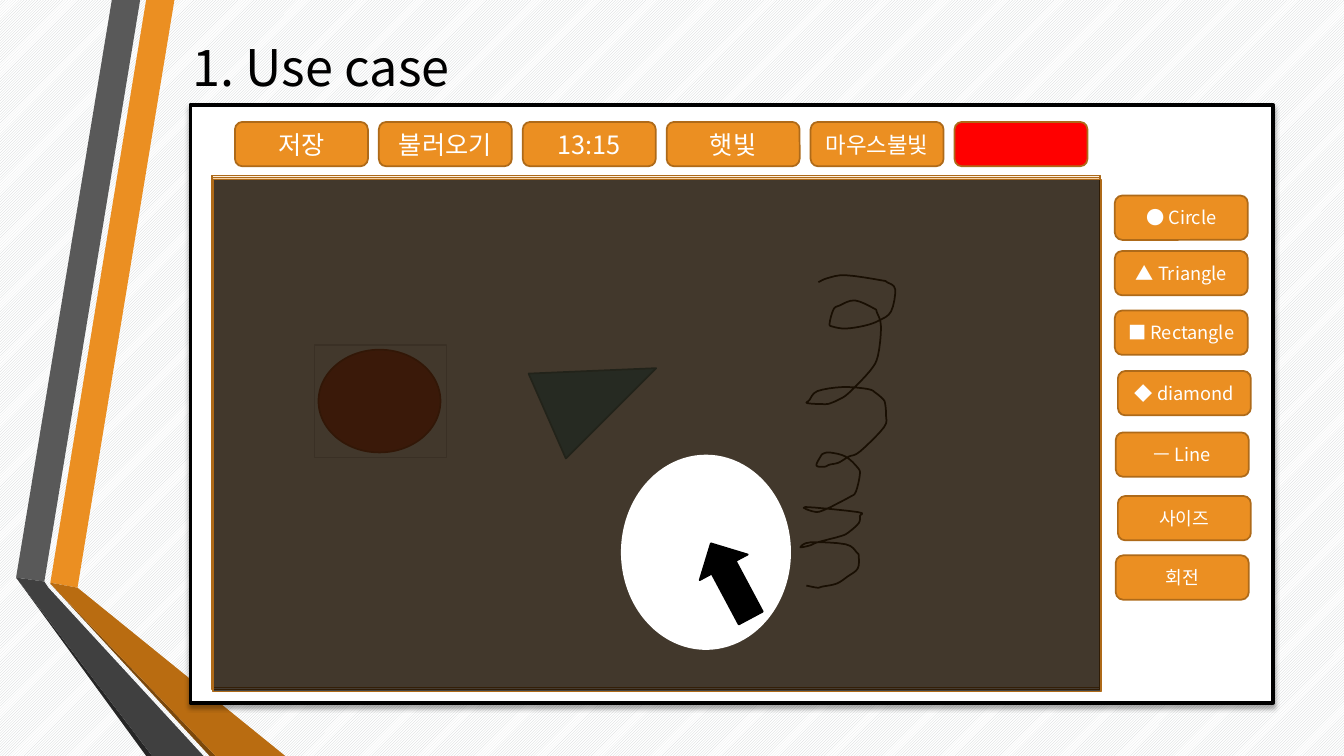
from collections import namedtuple
from lxml.etree import SubElement
from pptx import Presentation
from pptx.dml.color import RGBColor
from pptx.enum.dml import MSO_PATTERN as Pattern
from pptx.enum.shapes import MSO_SHAPE as Shape
from pptx.enum.text import MSO_ANCHOR as Anchor, MSO_AUTO_SIZE as AutoSize, PP_ALIGN as Align
from pptx.oxml.ns import qn
from pptx.util import Pt

FONT = "Noto Sans CJK KR"
COLORS = {
    "white": "FFFFFF", "black": "000000", "hatch": "CDD0D1",
    "orange": "EB8F22", "edge": "AE6A19", "brown": "B96C11", "deep_brown": "7B480B",
    "grey": "595959", "dark_grey": "404040", "charcoal": "262626",
    "red": "FF0000", "canvas_edge": "9390AF",
    "circle": "CD4223", "circle_edge": "98311A",
    "triangle": "4FA9C1", "triangle_edge": "3A7D8F",
}
RIBBONS = [
    ("orange", [(36, 416.2), (55.4, 419.8), (124.6, 0), (104.4, 0)]),
    ("grey", [(100.1, 0), (79.9, 0), (11.5, 412.6), (31.7, 415.4)]),
    ("charcoal", [(11.5, 412.6), (104.4, 540), (108.7, 540)]),
    ("deep_brown", [(36, 416.9), (149.8, 540), (154.1, 540)]),
    ("brown", [(36, 416.9), (154.1, 540), (203.8, 540), (55.4, 419.8), (36, 416.2)]),
    ("dark_grey", [(145.4, 540), (34.6, 419.8), (31.7, 415.4), (11.5, 412.6), (108.7, 540)]),
]
COMMANDS = [("저장", 18), ("불러오기", 18), ("13:15", 18), ("햇빛", 18), ("마우스불빛", 16)]
TOOLS = [
    ("● Circle", 4.3, 14.4), ("▲ Triangle", 4.3, 54), ("■ Rectangle", 4.3, 96.5),
    ("◆ diamond", 6.5, 139.7), ("ㅡ Line", 5, 183.6), ("사이즈", 6.5, 229), ("회전", 5, 271.4),
]
SCRIBBLE = [
    (14.6, 5.6), (21.1, 2.7), (34.1, 0.6), (59.3, 4.2), (63.6, 5.6), (69.4, 10.6),
    (66.5, 26.5), (57.8, 33), (47.8, 36.6), (34.1, 38.7), (24.7, 37.3), (22.6, 35.1),
    (25.4, 25), (29.8, 22.2), (40.6, 18.6), (54.2, 24.3), (56.4, 27.2), (59.3, 37.3),
    (57.1, 58.2), (51.4, 69), (36.2, 84.8), (29.8, 89.1), (23.3, 92), (19, 92.7),
    (6.7, 92), (8.2, 89.8), (13.9, 83.4), (31.9, 80.5), (49.9, 81.9), (55.7, 84.8),
    (60.7, 89.1), (62.2, 92), (62.9, 100.6), (61.4, 109.3), (44.2, 126.6), (36.2, 130.2),
    (29, 134.5), (22.6, 135.9), (19, 137.4), (13.2, 136.6), (16.1, 130.2), (18.2, 128),
    (23.3, 127.3), (34.1, 130.2), (42.7, 138.1), (44.2, 143.1), (41.3, 155.4), (37, 159),
    (26.2, 164.7), (21.8, 166.9), (13.2, 169.8), (5.3, 166.2), (42.7, 169.8), (44.2, 172.6),
    (43.4, 177.7), (36.2, 184.2), (30.5, 187), (13.9, 191.4), (8.9, 193.5), (1.7, 195),
    (8.9, 191.4), (34.1, 192.8), (42, 198.6), (43.4, 201.4), (42.7, 210.1), (35.5, 215.8),
    (27.6, 220.9), (17.5, 223), (13.9, 223.8), (6, 222.3),
]
Box = namedtuple("Box", "left top width height")


def rgb(name):
    return RGBColor.from_string(COLORS[name])


def inner(box, left, top, width, height):
    return Box(box.left + left, box.top + top, width, height)


def write(frame, text, size=18, color="white", align=Align.CENTER, anchor=Anchor.MIDDLE):
    frame.vertical_anchor = anchor
    paragraph = frame.paragraphs[0]
    paragraph.alignment = align
    run = paragraph.add_run()
    run.text = text
    run.font.name = FONT
    run.font.size = Pt(size)
    run.font.color.rgb = rgb(color)
    for tag in ("a:ea", "a:sym"):
        SubElement(run.font._element, qn(tag)).set("typeface", FONT)


def paint(part, fill=None, edge=None, weight=1.25, alpha=None):
    part.shadow.inherit = False
    if fill:
        part.fill.solid()
        part.fill.fore_color.rgb = rgb(fill)
    else:
        part.fill.background()
    if alpha:
        color = part._element.spPr.find(qn("a:solidFill"))[0]
        SubElement(color, qn("a:alpha")).set("val", str(alpha * 1000))
    if edge:
        part.line.color.rgb = rgb(edge)
        part.line.width = Pt(weight)
    else:
        part.line.fill.background()
    return part


def draw(slide, kind, box, fill=None, edge=None, rotation=0, **style):
    part = slide.shapes.add_shape(kind, *map(Pt, box))
    part.rotation = rotation
    return paint(part, fill, edge, **style)


def outline(slide, points, box, close=True):
    spots = [(Pt(box.left + x), Pt(box.top + y)) for x, y in points]
    builder = slide.shapes.build_freeform(*spots[0], scale=1.0)
    builder.add_line_segments(spots[1:], close=close)
    return builder.convert_to_shape()


def smoothed(points, steps=4):
    padded = [points[0], *points, points[-1]]
    curve = [points[0]]
    for a, b, c, d in zip(padded, padded[1:], padded[2:], padded[3:]):
        for step in range(1, steps + 1):
            t = step / steps
            curve.append(tuple(
                q + t * (r - p) / 2 + t * t * (2 * p - 5 * q + 4 * r - s) / 2
                + t ** 3 * (3 * q - p - 3 * r + s) / 2
                for p, q, r, s in zip(a, b, c, d)))
    return curve


def add_button(slide, box, text="", size=13, fill="orange"):
    button = draw(slide, Shape.ROUNDED_RECTANGLE, box, fill, "edge")
    if text:
        write(button.text_frame, text, size=size)


def add_backdrop(slide, box):
    fill = slide.background.fill
    fill.patterned()
    fill.pattern = Pattern.LIGHT_UPWARD_DIAGONAL
    fill.fore_color.rgb = rgb("hatch")
    fill.back_color.rgb = rgb("white")
    for color, points in RIBBONS:
        paint(outline(slide, points, box), color)


def add_title(slide, box):
    title = slide.shapes.title
    title.left, title.top, title.width, title.height = map(Pt, box)
    frame = title.text_frame
    frame.word_wrap = False
    frame.auto_size = AutoSize.SHAPE_TO_FIT_TEXT
    write(frame, "1. Use case", size=36, color="black", align=Align.LEFT, anchor=Anchor.TOP)


def add_window(slide, box):
    window = draw(slide, Shape.RECTANGLE, box, "white", "black", weight=2.75)
    effects = window._element.spPr.find(qn("a:effectLst"))
    shadow = SubElement(effects, qn("a:outerShdw"), blurRad=str(Pt(3.5)), dist=str(Pt(2.2)),
                        dir="5400000", algn="t", rotWithShape="0")
    color = SubElement(shadow, qn("a:srgbClr"), val=COLORS["black"])
    SubElement(color, qn("a:alpha"), val="32000")


def add_toolbar(slide, box):
    draw(slide, Shape.RECTANGLE, box, "white", "white")
    slots = [inner(box, 16.6 + 102.8 * i, 3.6, 95, 31.7) for i in range(len(COMMANDS) + 1)]
    for slot, (label, size) in zip(slots, COMMANDS):
        add_button(slide, slot, label, size)
    add_button(slide, slots[-1], fill="red")


def add_palette(slide, box):
    draw(slide, Shape.RECTANGLE, box, "white", "white")
    for label, left, top in TOOLS:
        add_button(slide, inner(box, left, top, 95, 31.7), label)


def add_canvas(slide, box):
    draw(slide, Shape.RECTANGLE, box, "white", "canvas_edge")
    draw(slide, Shape.OVAL, inner(box, 76.3, 124.5, 87.1, 73.4), "circle", "circle_edge")
    draw(slide, Shape.ISOSCELES_TRIANGLE, inner(box, 245.5, 112.3, 66.2, 85),
         "triangle", "triangle_edge", rotation=66.3)
    scribble = outline(slide, smoothed(SCRIBBLE), inner(box, 418.8, 70.7, 70, 224), close=False)
    paint(scribble, edge="black")
    draw(slide, Shape.RECTANGLE, inner(box, 73.4, 120.9, 94.3, 80.6), edge="hatch")
    for left, top, color, alpha in [(0, 0, "orange", 13), (0, 1.4, "orange", 32), (0.7, 2.9, "black", 73)]:
        draw(slide, Shape.RECTANGLE, inner(box, left, top, box.width, box.height),
             color, "edge", alpha=alpha)
    draw(slide, Shape.OVAL, inner(box, 293, 200.1, 120.2, 138.2), "white", "white")
    draw(slide, Shape.RIGHT_ARROW, inner(box, 340.6, 270, 60.5, 38.9),
         "black", "black", rotation=241.9)


def main():
    deck = Presentation()
    deck.slide_width, deck.slide_height = Pt(960), Pt(540)
    slide = deck.slides.add_slide(deck.slide_layouts[5])
    add_backdrop(slide, Box(0, 0, 960, 540))
    add_title(slide, Box(130.3, 22.3, 200.2, 51.1))
    add_window(slide, Box(136.1, 74.9, 773.3, 427))
    add_toolbar(slide, Box(151.2, 83.5, 634.3, 36.7))
    add_palette(slide, Box(792, 125.3, 108.7, 365.8))
    add_canvas(slide, Box(151.2, 125.3, 634.3, 365.8))
    deck.save("out.pptx")


if __name__ == "__main__":
    main()
